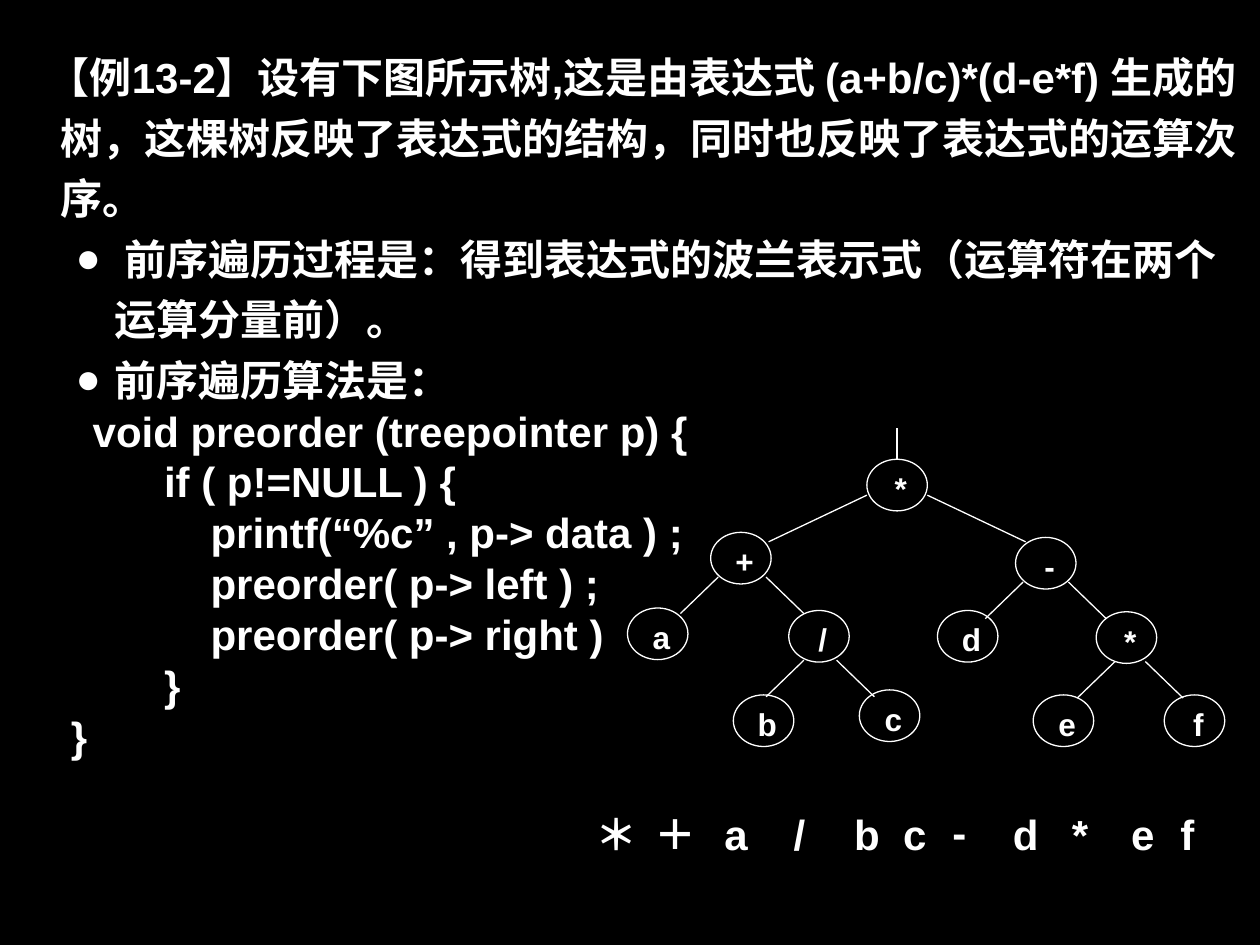
from lxml import etree
from pptx import Presentation
from pptx.dml.color import RGBColor
from pptx.enum.shapes import MSO_CONNECTOR, MSO_SHAPE
from pptx.enum.text import MSO_ANCHOR, MSO_AUTO_SIZE, PP_ALIGN
from pptx.oxml.ns import qn
from pptx.util import Inches, Pt

OVAL, LINE = MSO_SHAPE.OVAL, MSO_CONNECTOR.STRAIGHT
TOP, FIXED = MSO_ANCHOR.TOP, MSO_AUTO_SIZE.NONE
LEFT, MID = PP_ALIGN.LEFT, PP_ALIGN.CENTER
WHITE, BLACK, FACE = "FFFFFF", "000000", "Arial"
WIDE, HIGH = 10, 7.5

INTRO = ["【例13-2】设有下图所示树,这是由表达式 (a+b/c)*(d-e*f) 生成的树，"
         "这棵树反映了表达式的结构，同时也反映了表达式的运算次序。"]
POINTS = [" 前序遍历过程是：得到表达式的波兰表示式（运算符在两个运算分量前）。",
          "前序遍历算法是："]
CODE = ["　    void preorder (treepointer p) {",
        "             if ( p!=NULL ) {",
        "                 printf(“%c” , p-> data ) ;",
        "                 preorder( p-> left ) ;",
        "                 preorder( p-> right )",
        "             }",
        "     }"]
# level, left margin, first indent, line spacing, points before
STYLES = [(INTRO, 0, 0.38, -0.1, 1.2, 0),
          (POINTS, 1, 0.81, -0.31, 1.2, 0),
          (CODE, 0, 0.38, -0.38, 0.8, 6)]

NODE_W, NODE_H = 0.48, 0.41
NODES = [("*", 7.12, 3.85), ("+", 5.88, 4.43), ("-", 8.3, 4.47),
         ("a", 5.22, 5.03), ("/", 6.5, 5.05), ("d", 7.68, 5.05),
         ("*", 8.94, 5.06), ("b", 6.06, 5.72), ("c", 7.06, 5.68),
         ("e", 8.44, 5.72), ("f", 9.48, 5.72)]
# parent, left start, right start, start drop, run, fall
FORKS = [(0, -0.24, 0.24, 0.08, 0.78, 0.37),
         (1, -0.18, 0.2, 0.15, 0.3, 0.29),
         (4, -0.12, 0.14, 0.19, 0.3, 0.29),
         (2, -0.18, 0.18, 0.15, 0.3, 0.29),
         (6, -0.09, 0.15, 0.19, 0.3, 0.29)]
ORDER = [("＊", 4.63), ("＋", 5.1), ("a", 5.65), ("/", 6.2), ("b", 6.68),
         ("c", 7.07), ("-", 7.46), ("d", 7.94), ("*", 8.41), ("e", 8.88),
         ("f", 9.27)]


def paint(hue):
    """Turn a hex string into a colour."""
    return RGBColor.from_string(hue)


def write(para, text, size):
    """Add one bold white run."""
    run = para.add_run()
    run.text = text
    run.font.name, run.font.size, run.font.bold = FACE, Pt(size), True
    run.font.color.rgb = paint(WHITE)


def mark(para, left, first, dot):
    """Set the indent and the bullet of a paragraph."""
    props = para._p.get_or_add_pPr()
    props.set("marL", str(Inches(left)))
    props.set("indent", str(Inches(first)))
    if not dot:
        etree.SubElement(props, qn("a:buNone"))
        return
    tint = etree.SubElement(props, qn("a:buClr"))
    etree.SubElement(tint, qn("a:srgbClr")).set("val", WHITE)
    etree.SubElement(props, qn("a:buFont")).set("typeface", FACE)
    etree.SubElement(props, qn("a:buChar")).set("char", "●")


def fill_body(body):
    """Place and fill the body placeholder."""
    body.left, body.top = 0, Inches(0.28)
    body.width, body.height = Inches(WIDE), Inches(6.61)
    frame = body.text_frame
    frame.word_wrap, frame.auto_size = True, FIXED
    frame.vertical_anchor = TOP
    para = frame.paragraphs[0]
    for texts, level, left, first, space, gap in STYLES:
        for text in texts:
            if para.runs:
                para = frame.add_paragraph()
            para.level, para.alignment = level, LEFT
            para.line_spacing, para.space_before = space, Pt(gap)
            mark(para, left, first, level == 1)
            write(para, text, 24)


def add_text(shapes, text, box, size, align, inset):
    """Add a one-line text box."""
    frame = shapes.add_textbox(*map(Inches, box)).text_frame
    frame.word_wrap, frame.vertical_anchor = True, TOP
    frame.margin_left = frame.margin_right = Inches(inset[0])
    frame.margin_top = frame.margin_bottom = Inches(inset[1])
    para = frame.paragraphs[0]
    para.alignment = align
    write(para, text, size)


def add_node(slide, text, x, y):
    """Add a tree node centred on a point."""
    left, top = x - NODE_W / 2, y - NODE_H / 2
    shapes = slide.shapes.add_group_shape().shapes
    box = (left + 0.03, top + 0.07, NODE_W, 0.34)
    add_text(shapes, text, box, 18, MID, (0.01, 0.01))
    oval = shapes.add_shape(OVAL, *map(Inches, (left, top, NODE_W, NODE_H)))
    oval.shadow.inherit = False
    oval.fill.background()
    oval.line.color.rgb, oval.line.width = paint(WHITE), Pt(0.75)


def add_edge(slide, *ends):
    """Add a thin white line."""
    edge = slide.shapes.add_connector(LINE, *map(Inches, ends))
    edge.line.color.rgb, edge.line.width = paint(WHITE), Pt(0.75)
    etree.SubElement(edge._element.spPr, qn("a:effectLst"))


def main():
    """Build the slide."""
    deck = Presentation()
    deck.slide_width, deck.slide_height = Inches(WIDE), Inches(HIGH)
    slide = deck.slides.add_slide(deck.slide_layouts[1])
    slide.background.fill.solid()
    slide.background.fill.fore_color.rgb = paint(BLACK)
    title = slide.shapes.title._element
    title.getparent().remove(title)
    fill_body(slide.placeholders[1])
    for node in NODES:
        add_node(slide, *node)
    add_edge(slide, 7.12, 3.4, 7.12, 3.65)
    for index, west, east, drop, run, fall in FORKS:
        x, y = NODES[index][1:]
        for start, step in ((west, -run), (east, run)):
            add_edge(slide, x + start, y + drop,
                     x + start + step, y + drop + fall)
    for text, left in ORDER:
        top = 6.35 if text == "-" else 6.37
        add_text(slide.shapes, text, (left, top, 0.47, 0.5), 24, LEFT,
                 (0.1, 0.05))
    deck.save("out.pptx")


if __name__ == "__main__":
    main()
